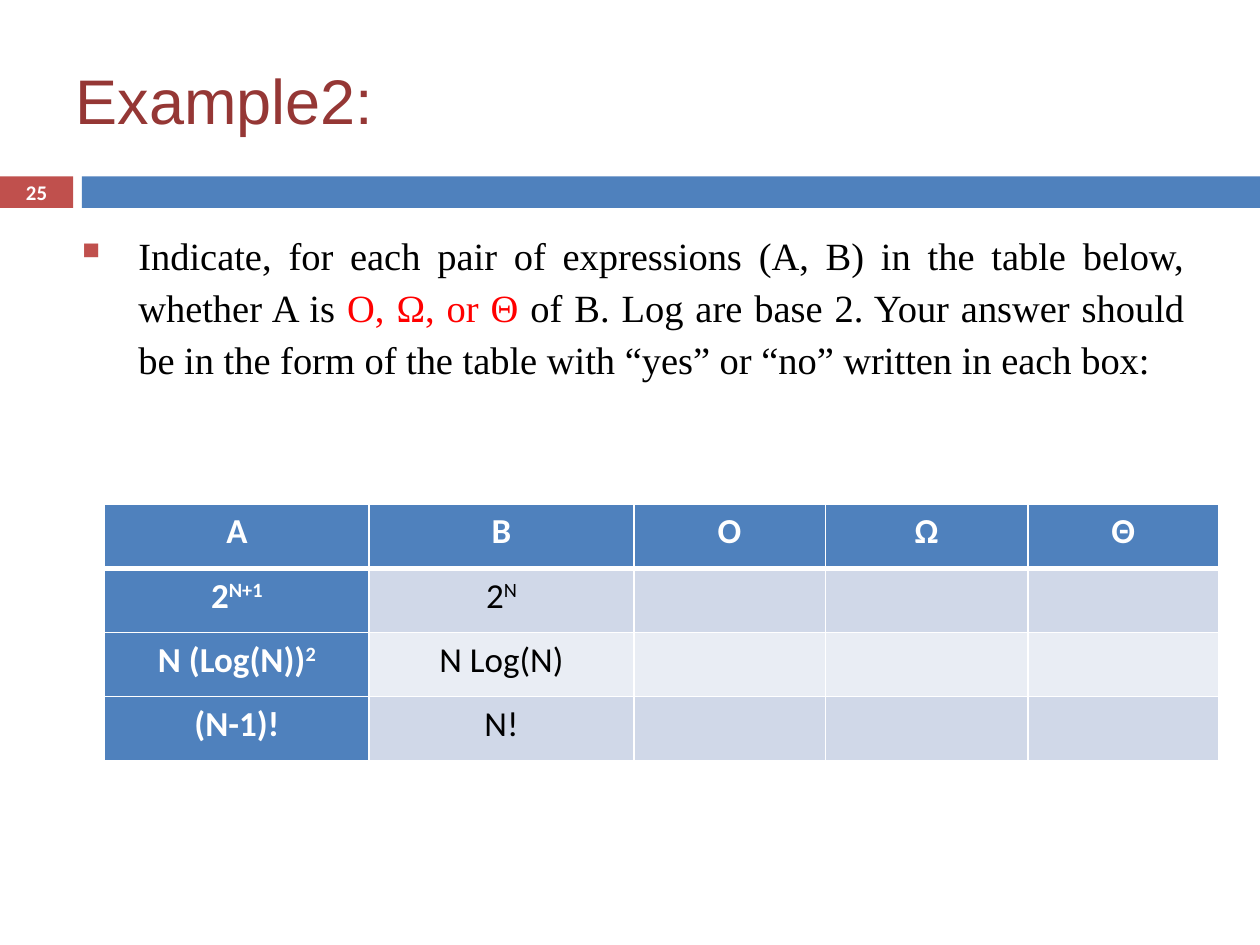
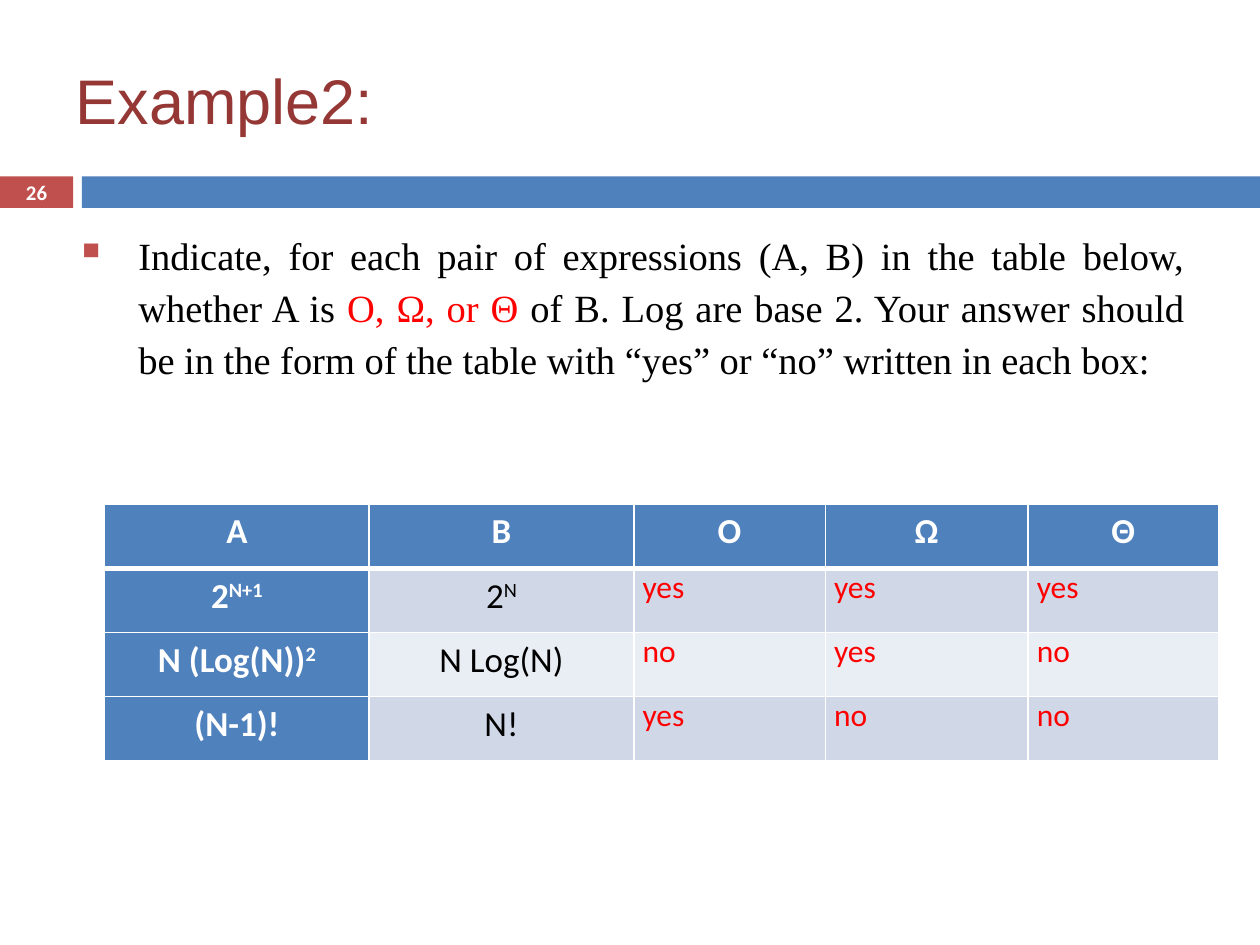
from dataclasses import dataclass

from lxml.etree import SubElement
from pptx import Presentation
from pptx.dml.color import RGBColor
from pptx.enum.shapes import MSO_SHAPE
from pptx.enum.text import MSO_ANCHOR, PP_ALIGN
from pptx.oxml import parse_xml
from pptx.oxml.ns import nsdecls, qn
from pptx.util import Inches, Pt


@dataclass(frozen=True)
class Theme:
    red: str = "C0504D"
    blue: str = "4F81BD"
    title: str = "953735"
    accent: str = "FF0000"
    black: str = "000000"
    white: str = "FFFFFF"
    odd_row: str = "D0D8E8"
    even_row: str = "E9EDF4"
    title_font: str = "Arial"
    body_font: str = "Times New Roman"
    table_font: str = "Calibri"
    title_size: float = 36
    body_size: float = 22
    cell_size: float = 20
    answer_size: float = 18
    number_size: float = 11.9


T = Theme()


def write(p, text, font=T.table_font, size=T.cell_size, color=T.black, bold=False, sup=False):
    r = p.add_run()
    r.text = text
    r.font.name, r.font.size, r.font.bold = font, Pt(size), bold
    r.font.color.rgb = RGBColor.from_string(color)
    if sup:
        r._r.get_or_add_rPr().set("baseline", "30000")


def set_borders(cell, top, bottom):
    tcPr = cell._tc.get_or_add_tcPr()
    for i, (side, width) in enumerate((("L", 1), ("R", 1), ("T", top), ("B", bottom))):
        tcPr.insert(i, parse_xml(
            f'<a:ln{side} {nsdecls("a")} w="{Pt(width)}"><a:solidFill>'
            f'<a:srgbClr val="{T.white}"/></a:solidFill></a:ln{side}>'))


# Content: "^" starts a superscript
TITLE = "Example2:"
QUESTION = [
    ("Indicate, for each pair of expressions (A, B) in the table below, whether A is ", T.black),
    ("O, Ω, or Θ ", T.accent),
    ("of B. Log are base 2. Your answer should be in the form of the table "
     "with “yes” or “no” written in each box: ", T.black),
]
HEADER = ["A", "B", "O", "Ω", "Θ"]
PAIRS = [["2^N+1", "2^N"], ["N (Log(N))^2", "N Log(N)"], ["(N-1)!", "N!"]]
ANSWERS = [["yes", "yes", "yes"], ["no", "yes", "no"], ["yes", "no", "no"]]
BLANKS = [[""] * 3] * 3
COLUMNS = [2.1, 2.1, 1.52, 1.61, 1.51]
ROW_HEIGHT = 0.51
BANDS = [(0, 0.58, T.red), (0.65, 9.35, T.blue)]

prs = Presentation()
prs.slide_width, prs.slide_height = Inches(10), Inches(7.5)

for number, answers in enumerate((BLANKS, ANSWERS), start=25):
    s = prs.slides.add_slide(prs.slide_layouts[5])

    # Bands under the title
    for left, width, color in BANDS:
        band = s.shapes.add_shape(MSO_SHAPE.RECTANGLE, Inches(left), Inches(1.4),
                                  Inches(width), Inches(0.25))
        band.shadow.inherit = False
        band.fill.solid()
        band.fill.fore_color.rgb = RGBColor.from_string(color)
        band.line.fill.background()

    # Title
    title = s.shapes.title
    title.left, title.top = Inches(0.5), Inches(0.25)
    title.width, title.height = Inches(9.5), Inches(1.08)
    tf = title.text_frame
    tf.vertical_anchor = MSO_ANCHOR.MIDDLE
    p = tf.paragraphs[0]
    p.alignment = PP_ALIGN.LEFT
    write(p, TITLE, font=T.title_font, size=T.title_size, color=T.title)

    # Question with a square bullet
    tf = s.shapes.add_textbox(Inches(0.5), Inches(1.75), Inches(9), Inches(5.58)).text_frame
    tf.word_wrap = True
    p = tf.paragraphs[0]
    p.alignment = PP_ALIGN.JUSTIFY
    p.line_spacing, p.space_before = Pt(29.6), Pt(1.5)
    pPr = p._p.get_or_add_pPr()
    pPr.set("marL", str(Inches(0.5)))
    pPr.set("indent", str(Inches(-0.5)))
    SubElement(SubElement(pPr, qn("a:buClr")), qn("a:srgbClr")).set("val", T.red)
    SubElement(pPr, qn("a:buSzPct")).set("val", "110000")
    SubElement(pPr, qn("a:buChar")).set("char", "▪")
    for text, color in QUESTION:
        write(p, text, font=T.body_font, size=T.body_size, color=color)

    # Table of expressions and answers
    rows = [HEADER] + [pair + marks for pair, marks in zip(PAIRS, answers)]
    table = s.shapes.add_table(len(rows), len(COLUMNS), Inches(0.83), Inches(4),
                               Inches(sum(COLUMNS)), Inches(ROW_HEIGHT * len(rows))).table
    for column, width in zip(table.columns, COLUMNS):
        column.width = Inches(width)
    for i, row in enumerate(rows):
        table.rows[i].height = Inches(ROW_HEIGHT)
        for j, text in enumerate(row):
            cell = table.cell(i, j)
            heading = i == 0 or j == 0
            answer = i > 0 and j > 1
            cell.margin_left = cell.margin_right = Inches(0.07)
            cell.margin_top = cell.margin_bottom = 0
            cell.fill.solid()
            cell.fill.fore_color.rgb = RGBColor.from_string(
                T.blue if heading else T.odd_row if i % 2 else T.even_row)
            set_borders(cell, top=3 if i == 1 else 1, bottom=3 if i == 0 else 1)
            p = cell.text_frame.paragraphs[0]
            if answer:
                if text:
                    write(p, text, size=T.answer_size, color=T.accent)
                continue
            p.alignment, p.line_spacing = PP_ALIGN.CENTER, 1.15
            for k, part in enumerate(text.split("^")):
                write(p, part, color=T.white if heading else T.black, bold=heading, sup=k > 0)

    # Slide number
    tf = s.shapes.add_textbox(0, Inches(1.39), Inches(0.58), Inches(0.27)).text_frame
    tf.word_wrap = True
    tf.margin_top = tf.margin_bottom = 0
    tf.vertical_anchor = MSO_ANCHOR.MIDDLE
    p = tf.paragraphs[0]
    p.alignment = PP_ALIGN.CENTER
    write(p, str(number), size=T.number_size, color=T.white, bold=True)

prs.save("out.pptx")
